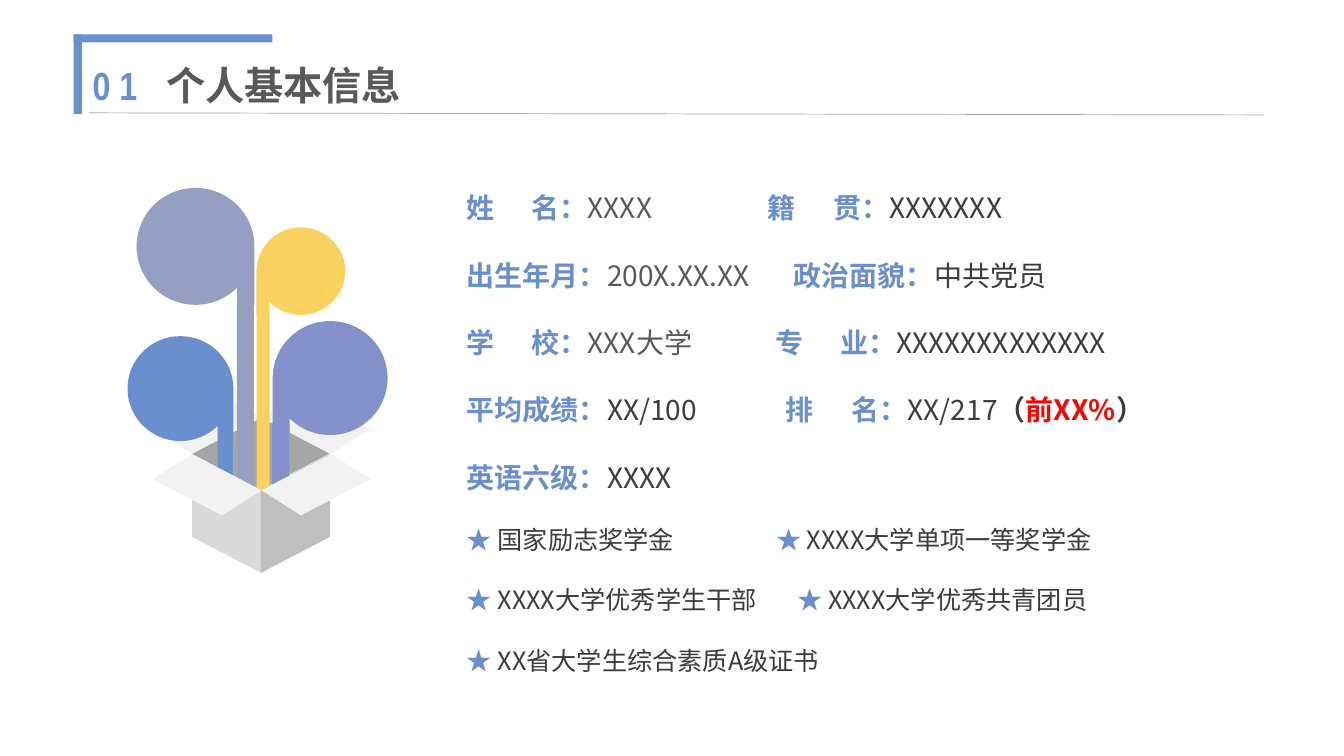
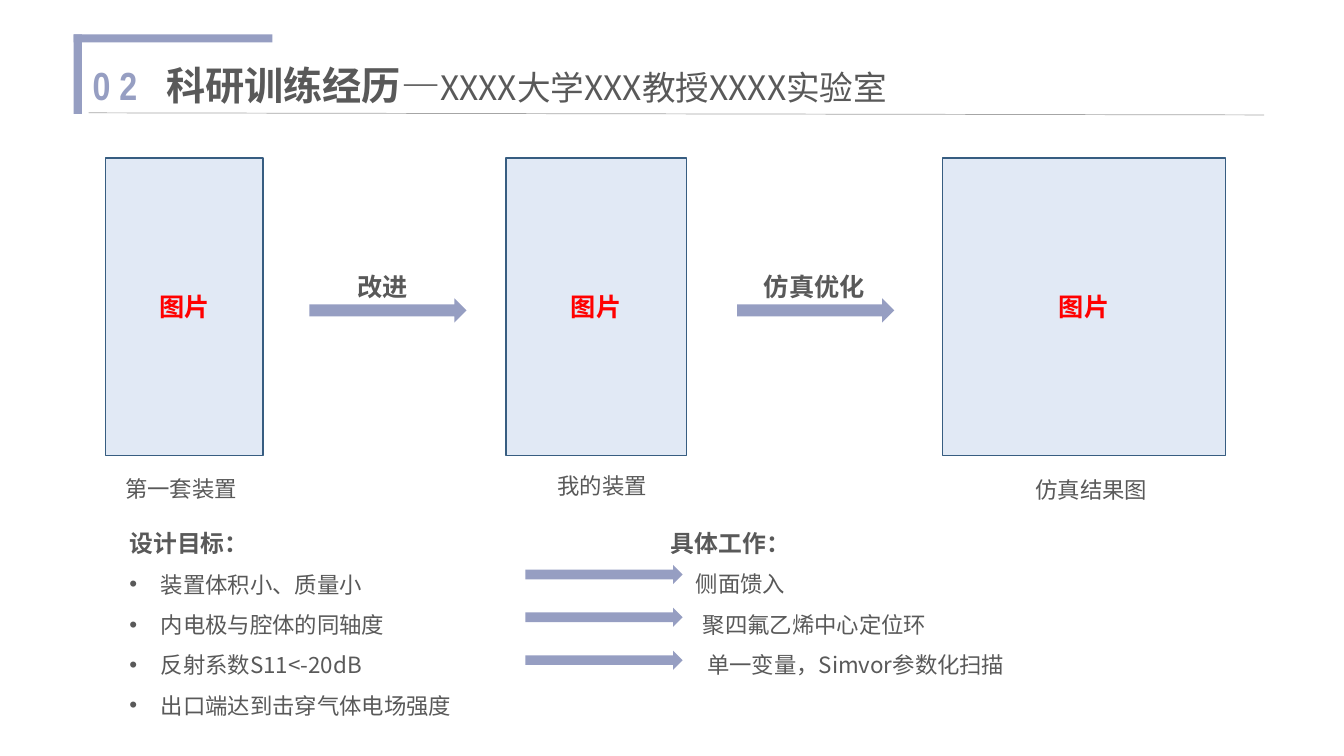
"""Build two slides: a personal profile and a research training record."""
from lxml import etree
from pptx import Presentation
from pptx.dml.color import RGBColor
from pptx.enum.shapes import MSO_CONNECTOR, MSO_SHAPE
from pptx.enum.text import MSO_ANCHOR, MSO_AUTO_SIZE, PP_ALIGN
from pptx.oxml.ns import qn
from pptx.util import Pt

RECT = MSO_SHAPE.RECTANGLE
ARROW = MSO_SHAPE.RIGHT_ARROW
DIAMOND = MSO_SHAPE.FLOWCHART_DECISION
DISC = MSO_SHAPE.FLOWCHART_SEQUENTIAL_ACCESS_STORAGE
SLANTED = MSO_SHAPE.PARALLELOGRAM
STRAIGHT = MSO_CONNECTOR.STRAIGHT
LEFT, CENTER = PP_ALIGN.LEFT, PP_ALIGN.CENTER
TOP, MIDDLE, BOTTOM = MSO_ANCHOR.TOP, MSO_ANCHOR.MIDDLE, MSO_ANCHOR.BOTTOM

SANS, NARROW = "Noto Sans CJK SC", "Arial Narrow"
BLUE, LAVENDER, YELLOW, VIOLET = "698FCE", "969EC2", "FAD25F", "8491CB"
GREY, DARK, RED = "595959", "3C3C3C", "FF0000"
LINE_HEIGHT = 1.2


def rgb(value):
    """Turn a hex string into a colour."""
    return RGBColor.from_string(value)


def write(para, text, size=16, colour=GREY, bold=False, font=SANS):
    """Add one formatted span to a paragraph."""
    span = para.add_run()
    span.text = text
    span.font.size = Pt(size)
    span.font.bold = bold
    span.font.color.rgb = rgb(colour)
    span.font.name = font
    etree.SubElement(span.font._element, qn("a:ea"), typeface=font)


def add_para(frame, size, spacing=1.0, align=LEFT, margin=0, bullet=None, tabs=()):
    """Return a new paragraph with fixed line height, bullet and tab stops."""
    para = frame.add_paragraph() if frame.text else frame.paragraphs[0]
    props = para._p.get_or_add_pPr()
    if margin:
        props.set("marL", str(Pt(margin)))
        props.set("indent", str(Pt(-margin if bullet else 0)))
    if bullet:
        etree.SubElement(props, qn("a:buChar"), char=bullet)
    else:
        etree.SubElement(props, qn("a:buNone"))
    if tabs:
        stops = etree.SubElement(props, qn("a:tabLst"))
        for stop in tabs:
            etree.SubElement(stops, qn("a:tab"), pos=str(Pt(stop)), algn="l")
    para.alignment = align
    para.space_before = Pt(0)
    para.line_spacing = Pt(round(size * LINE_HEIGHT * spacing, 2))
    return para


def clear_body_indent(deck):
    """Remove the hanging indent from the body style of the master."""
    style = deck.slide_master.element.find(".//" + qn("p:bodyStyle"))
    level = style.find(qn("a:lvl1pPr"))
    for name in ("marL", "indent"):
        level.attrib.pop(name, None)


def set_frame(shape, anchor=TOP):
    """Make a text frame wrap, keep its size and anchor its text."""
    frame = shape.text_frame
    frame.word_wrap = True
    frame.auto_size = MSO_AUTO_SIZE.NONE
    frame.vertical_anchor = anchor
    return frame


def place(shape, left, top, width, height):
    """Move and size a shape."""
    shape.left, shape.top = Pt(left), Pt(top)
    shape.width, shape.height = Pt(width), Pt(height)


def add_figure(slide, kind, box, fill, line=None, rotation=0, flip=None, adjust=None):
    """Add a flat preset shape."""
    shape = slide.shapes.add_shape(kind, *(Pt(length) for length in box))
    shape.shadow.inherit = False
    shape.fill.solid()
    shape.fill.fore_color.rgb = rgb(fill)
    if line:
        shape.line.color.rgb = rgb(line)
        shape.line.width = Pt(1)
    else:
        shape.line.fill.background()
    shape.rotation = rotation
    if flip:
        shape._element.spPr.xfrm.set(flip, "1")
    if adjust:
        shape.adjustments[0] = adjust
    return shape


def add_label(slide, text, box, **style):
    """Add a one-line text box."""
    shape = slide.shapes.add_textbox(*(Pt(length) for length in box))
    para = add_para(set_frame(shape), style.get("size", 16))
    write(para, text, **style)


def add_header(slide, number, title, accent, subtitle=None):
    """Fill the title and draw the corner bracket and the rule."""
    place(slide.shapes.title, 59, 15.2, 854.6, 65.5)
    frame = set_frame(slide.shapes.title, BOTTOM)
    para = add_para(frame, 28, 0.9, tabs=[52.5])
    write(para, number + "\t", size=28, colour=accent, bold=True, font=NARROW)
    write(para, title, size=28, bold=True)
    if subtitle:
        write(para, "—", size=28)
        write(para, subtitle, size=24)
    for width, height in ((5.8, 56.9), (142, 5.8)):
        add_figure(slide, RECT, (52.6, 24.5, width, height), accent)
    rule = slide.shapes.add_connector(STRAIGHT, Pt(63.4), Pt(80.6), Pt(902.9), Pt(82.1))
    rule.line.color.rgb = rgb("A6A6A6")
    rule.line.width = Pt(0.5)
    etree.SubElement(rule._element.spPr, qn("a:effectLst"))


def add_flaps(slide, top, front):
    """Add a mirrored pair of box flaps."""
    for left, falling in ((111.6, front), (189.4, not front)):
        add_figure(slide, SLANTED, (left, top, 72.7, 28.8), "F2F2F2", adjust=0.58,
                   rotation=27.5 if falling else 332.5, flip=None if falling else "flipV")


def add_balloon(slide, disc, stem, colour, mirrored):
    """Add a disc on a stem, mirrored when the stem is on its right."""
    add_figure(slide, DISC, disc, colour, rotation=270 if mirrored else 90,
               flip="flipH" if mirrored else None)
    add_figure(slide, RECT, stem, colour)


def add_open_box(slide):
    """Draw the open box with four balloons."""
    add_figure(slide, DIAMOND, (136.8, 298.1, 98.6, 51.8), "A6A6A6")
    add_flaps(slide, 288, front=False)
    balloons = (
        ((91.4, 239.8, 74.9, 75.6), (155.5, 302.4, 10.8, 47.5), BLUE, True),
        ((183.6, 162, 62.6, 63.4), (183.3, 223.9, 9.4, 125.3), YELLOW, False),
        ((195.1, 229, 81.4, 82.1), (194.4, 302.4, 12.2, 47.5), VIOLET, False),
        ((97.9, 133.9, 83.5, 84.2), (169.2, 214.6, 12.2, 134.6), LAVENDER, True),
    )
    for balloon in balloons:
        add_balloon(slide, *balloon)
    for left, fill, rotation, flip in ((119.5, "D9D9D9", 90, None),
                                       (168.5, "BFBFBF", 270, "flipV")):
        add_figure(slide, SLANTED, (left, 342, 85, 49.7), fill, rotation=rotation,
                   flip=flip, adjust=0.522)
    add_flaps(slide, 331.9, front=True)


def add_facts(frame):
    """Write the rows of labels and values."""
    rows = (
        (24, (46.4, 215, 262), ("姓\t名：", "XXXX", GREY), ("籍\t贯：", "XXXXXXX", DARK)),
        (20, (233.6,), ("出生年月：", "200X.XX.XX", GREY), ("政治面貌：", "中共党员", DARK)),
        (20, (46.4, 220.5, 267), ("学\t校：", "XXX大学", GREY),
         ("专\t业：", "XXXXXXXXXXXXX", DARK)),
        (20, (228, 275), ("平均成绩：", "XX/100", DARK), ("排\t名：", "XX/217", DARK)),
        (20, (), ("英语六级：", "XXXX", DARK)),
    )
    for tallest, tabs, *facts in rows:
        para = add_para(frame, tallest, 2, tabs=tabs)
        for index, (label, value, colour) in enumerate(facts):
            if index:
                write(para, "\t", size=tallest)
            write(para, label, size=20, colour=BLUE, bold=True)
            write(para, value, size=20, colour=colour)
            if label == "排\t名：":
                for text, shade in (("（", DARK), ("前XX%", RED), ("）", DARK)):
                    write(para, text, size=20, colour=shade, bold=True)


def add_awards(frame):
    """Write the starred awards."""
    rows = (
        (221, "国家励志奖学金", "XXXX大学单项一等奖学金"),
        (236, "XXXX大学优秀学生干部", "XXXX大学优秀共青团员"),
        (0, "XX省大学生综合素质A级证书"),
    )
    for stop, *awards in rows:
        para = add_para(frame, 18, 2, tabs=[stop] if stop else ())
        for index, award in enumerate(awards):
            write(para, "\t★ " if index else "★ ", size=18, colour=BLUE)
            write(para, award, size=18, colour=DARK)


def build_profile(deck):
    """Build the slide with personal details."""
    slide = deck.slides.add_slide(deck.slide_layouts[1])
    add_header(slide, "0 1", "个人基本信息", BLUE)
    body = slide.placeholders[1]
    place(body, 326.2, 99.4, 605.5, 383.8)
    frame = set_frame(body)
    add_facts(frame)
    add_awards(frame)
    add_open_box(slide)


def add_goals(slide):
    """Write the design goals and the matching work beside them."""
    body = slide.placeholders[1]
    place(body, 85.2, 363.8, 285, 168)
    goals = set_frame(body)
    write(add_para(goals, 17, 1.5), "设计目标：", size=17, bold=True)
    for goal in ("装置体积小、质量小", "内电极与腔体的同轴度", "反射系数S11<-20dB",
                 "出口端达到击穿气体电场强度"):
        write(add_para(goals, 16, 1.5, margin=22.5, bullet="•"), goal)
    tasks = set_frame(slide.shapes.add_textbox(Pt(472), Pt(363.8), Pt(440), Pt(140)))
    write(add_para(tasks, 17, 1.5), "具体工作：", size=17, bold=True)
    for margin, task in ((18, "侧面馈入"), (23, "聚四氟乙烯中心定位环"),
                         (26, "单一变量，Simvor参数化扫描")):
        write(add_para(tasks, 16, 1.5, margin=margin), task)
    for row in range(3):
        add_figure(slide, ARROW, (375.3, 403.5 + row * 30.6, 112.3, 13.7), LAVENDER)


def build_research(deck):
    """Build the slide with the research training."""
    slide = deck.slides.add_slide(deck.slide_layouts[1])
    add_header(slide, "0 2", "科研训练经历", LAVENDER, "XXXX大学XXX教授XXXX实验室")
    for left, width in ((75.6, 112.3), (361.4, 128.9), (673.2, 202.3)):
        panel = add_figure(slide, RECT, (left, 112.8, width, 212.4), "E1E9F5", "375D81")
        para = add_para(set_frame(panel, MIDDLE), 18, align=CENTER)
        write(para, "图片", size=18, colour=RED, bold=True)
    for text, left, top, width in (("第一套装置", 82.5, 335.9, 105.1),
                                   ("我的装置", 391.2, 333.6, 80.6),
                                   ("仿真结果图", 732.5, 336.5, 96.5)):
        add_label(slide, text, (left, top, width, 26.6))
    for text, left, width, arrow_left in (("改进", 248.4, 57.6, 221),
                                          ("仿真优化", 538.6, 97.9, 526.5)):
        add_figure(slide, ARROW, (arrow_left, 213.1, 112.3, 17.3), LAVENDER)
        add_label(slide, text, (left, 190.1, width, 28.8), size=18, bold=True)
    add_goals(slide)


def main():
    """Build and save the deck."""
    deck = Presentation()
    deck.slide_width, deck.slide_height = Pt(960), Pt(540)
    clear_body_indent(deck)
    build_profile(deck)
    build_research(deck)
    deck.save("out.pptx")


if __name__ == "__main__":
    main()
